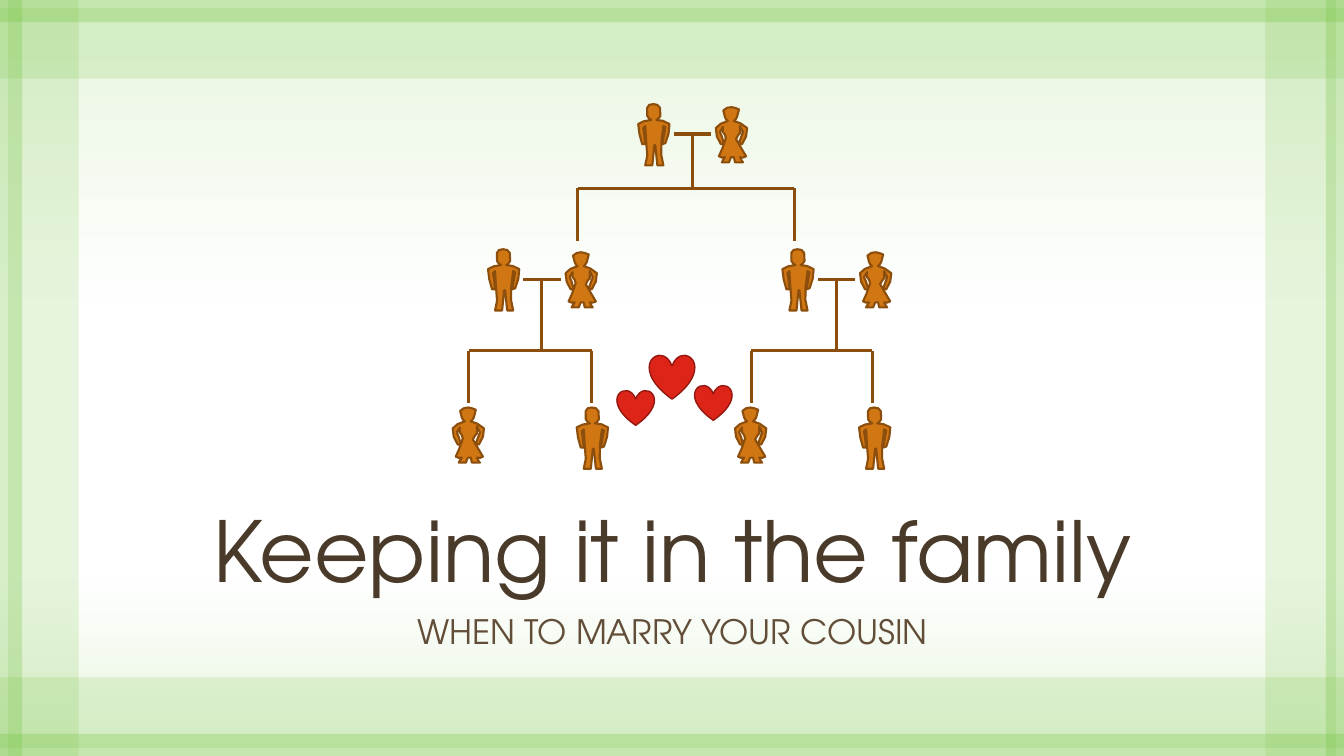
from copy import deepcopy

from pptx import Presentation
from pptx import util as u
from pptx.dml.color import RGBColor
from pptx.enum import shapes, text
from pptx.oxml.ns import qn
from lxml import etree

PX = 9144  # EMU per px, 100 px to the inch
WIDTH, HEIGHT = 1333, 750

THEME = {
    "font": "TeX Gyre Adventor",
    "title": ("4A3A2A", 60), "subtitle": ("624D38", 24),
    "band": "72C23C",
    "person": ("D07613", "8B4E0C", 1.5), "heart": ("DD2418", "931810", 1),
    "line": ("8B4E0C", 2.25),
    "background": [(0, "E7F5DE"), (0.42, "FFFFFF"), (0.75, "FFFFFF"), (1, "E7F5DE")],
}

# Content: name, text, box, anchor
TEXTS = [
    ("title", "Keeping it in the family", (142, 326, 1050, 275), text.MSO_ANCHOR.BOTTOM),
    ("subtitle", "WHEN TO MARRY YOUR COUSIN", (142, 606, 1050, 100), text.MSO_ANCHOR.TOP),
]
# Border bands: left, top, width, height, opacity in percent
BANDS = [
    (0, 8, WIDTH, 70, 17), (0, 0, WIDTH, 22, 28),
    (8, 0, 70, HEIGHT, 17), (0, 0, 22, HEIGHT, 28),
    (1255, 0, 70, HEIGHT, 17), (1315, 0, 18, HEIGHT, 28),
    (0, 672, WIDTH, 70, 17), (0, 728, WIDTH, 22, 28),
]
# Couples: left and top of the husband, height of the children's bar, its two ends
COUPLES = [
    (633, 103, 187, (573, 788)),
    (484, 247, 348, (465, 587)),
    (776, 247, 348, (745, 865)),
]
DAUGHTERS, SONS = [(449, 404), (729, 404)], [(572, 404), (852, 404)]
HEARTS = [(612, 387, 37, 35), (689, 382, 37, 35), (644, 352, 45, 44)]
WIFE_OFFSET = (77, 3)
MARRIAGE_LINE, MARRIAGE_Y, CHILD_DROP = (35, 72), 30, 52

# Outlines: a start, then straight steps (x, y) and cubic curves (two handles, end)
MAN = [
    (13, 16), (9, 17, 2, 17, 0, 20), (1, 27, 1, 33, 4, 40), (7, 40),
    (6, 31, 6, 29, 5, 24), (7, 22), (7, 28, 8, 33, 8, 39), (8, 46, 11, 57, 7, 61),
    (14, 61), (16, 41), (17, 41), (19, 61), (25, 61), (22, 56, 23, 46, 23, 38),
    (25, 22), (27, 23), (27, 29, 24, 34, 24, 40), (27, 39), (30, 33, 31, 26, 31, 20),
    (30, 16, 19, 17, 18, 16), (19, 15, 21, 15, 22, 12), (22, 4, 22, 2, 19, 1),
    (17, 0, 13, 0, 11, 1), (8, 4, 9, 2, 9, 12), (9, 14, 12, 15, 13, 16),
]
WOMAN = [
    (12, 14), (7, 15, 2, 18, 0, 21), (0, 28, 1, 31, 5, 37), (8, 37),
    (7, 28, 5, 30, 4, 25), (7, 20), (8, 19, 6, 24, 7, 25), (7, 27, 11, 27, 10, 31),
    (10, 36, 3, 47, 3, 49), (3, 52, 9, 49, 9, 50), (9, 52, 5, 54, 6, 55), (13, 55),
    (15, 50), (18, 50), (19, 55), (27, 55), (28, 54, 24, 54, 24, 50),
    (24, 49, 30, 52, 30, 49), (30, 47, 21, 36, 20, 32), (21, 28, 23, 28, 24, 26),
    (24, 19), (27, 25), (27, 30, 23, 31, 23, 36), (26, 37), (29, 31, 32, 28, 31, 21),
    (29, 17, 20, 15, 18, 14), (19, 12, 21, 12, 21, 10), (22, 1, 26, 2, 19, 1),
    (17, 0, 14, 0, 11, 1), (4, 4, 9, 2, 9, 10), (9, 12, 11, 13, 12, 14),
]
CURVE_STEPS = 2


def px(*lengths):
    return [round(length * PX) for length in lengths]


def colour(name):
    return RGBColor.from_string(name)


def paint(shape, fill, line=None, width=0):
    shape.shadow.inherit = False
    shape.fill.solid()
    shape.fill.fore_color.rgb = colour(fill)
    if line:
        shape.line.color.rgb = colour(line)
        shape.line.width = u.Pt(width)
    else:
        shape.line.fill.background()


def flatten(outline):
    points = [outline[0]]
    for step in outline[1:]:
        if len(step) == 2:
            points.append(step)
            continue
        controls = [points[-1], step[:2], step[2:4], step[4:]]
        for i in range(1, CURVE_STEPS + 1):
            t = i / CURVE_STEPS
            weights = ((1 - t) ** 3, 3 * t * (1 - t) ** 2, 3 * t * t * (1 - t), t ** 3)
            points.append(tuple(sum(w * c[axis] for w, c in zip(weights, controls))
                                for axis in (0, 1)))
    return points[:-1]  # closing the outline returns to the start


def add_person(slide, outline, left, top):
    points = [px(left + x, top + y) for x, y in flatten(outline)]
    builder = slide.shapes.build_freeform(*points[0], scale=1.0)
    builder.add_line_segments(points[1:], close=True)
    paint(builder.convert_to_shape(), *THEME["person"])


def add_line(slide, *ends):
    line = slide.shapes.add_connector(shapes.MSO_CONNECTOR.STRAIGHT, *px(*ends))
    name, width = THEME["line"]
    line.line.color.rgb = colour(name)
    line.line.width = u.Pt(width)
    etree.SubElement(line._element.spPr, qn("a:effectLst"))


def add_background(slide):
    fill = slide.background.fill
    fill.gradient()
    fill.gradient_angle = 270
    stop_list = next(slide._element.iter(qn("a:gsLst")))
    for _ in range(len(THEME["background"]) - len(stop_list)):
        stop_list.append(deepcopy(stop_list[0]))
    for stop, (position, name) in zip(fill.gradient_stops, THEME["background"]):
        stop.position = position
        stop.color.rgb = colour(name)


def add_bands(slide):
    for *box, opacity in BANDS:
        band = slide.shapes.add_shape(shapes.MSO_SHAPE.RECTANGLE, *px(*box))
        paint(band, THEME["band"])
        fill_colour = band._element.spPr.find(qn("a:solidFill"))[0]
        etree.SubElement(fill_colour, qn("a:alpha"), val=str(opacity * 1000))


def add_texts(slide):
    for name, wording, box, anchor in TEXTS:
        frame = slide.shapes.add_textbox(*px(*box)).text_frame
        frame.word_wrap = True
        frame.vertical_anchor = anchor
        frame.text = wording
        paragraph = frame.paragraphs[0]
        paragraph.alignment = text.PP_ALIGN.CENTER
        paragraph.line_spacing = 0.9
        font = paragraph.runs[0].font
        font.name = THEME["font"]
        font.color.rgb, font.size = colour(THEME[name][0]), u.Pt(THEME[name][1])


def add_family_tree(slide):
    for left, top, bar_y, (bar_left, bar_right) in COUPLES:
        add_person(slide, MAN, left, top)
        add_person(slide, WOMAN, left + WIFE_OFFSET[0], top + WIFE_OFFSET[1])
        # Marriage line, descent, bar and a drop to each child
        start, end = (left + offset for offset in MARRIAGE_LINE)
        middle, marriage_y = (start + end) / 2, top + MARRIAGE_Y
        add_line(slide, start, marriage_y, end, marriage_y)
        add_line(slide, middle, marriage_y, middle, bar_y)
        add_line(slide, bar_left, bar_y, bar_right, bar_y)
        for child in (bar_left, bar_right):
            add_line(slide, child, bar_y, child, bar_y + CHILD_DROP)
    for outline, places in ((WOMAN, DAUGHTERS), (MAN, SONS)):
        for place in places:
            add_person(slide, outline, *place)
    for box in HEARTS:
        paint(slide.shapes.add_shape(shapes.MSO_SHAPE.HEART, *px(*box)), *THEME["heart"])


def main():
    presentation = Presentation()
    presentation.slide_width, presentation.slide_height = px(WIDTH, HEIGHT)
    slide = presentation.slides.add_slide(presentation.slide_layouts[6])
    add_background(slide)
    add_bands(slide)
    add_texts(slide)
    add_family_tree(slide)
    presentation.save("out.pptx")


if __name__ == "__main__":
    main()
